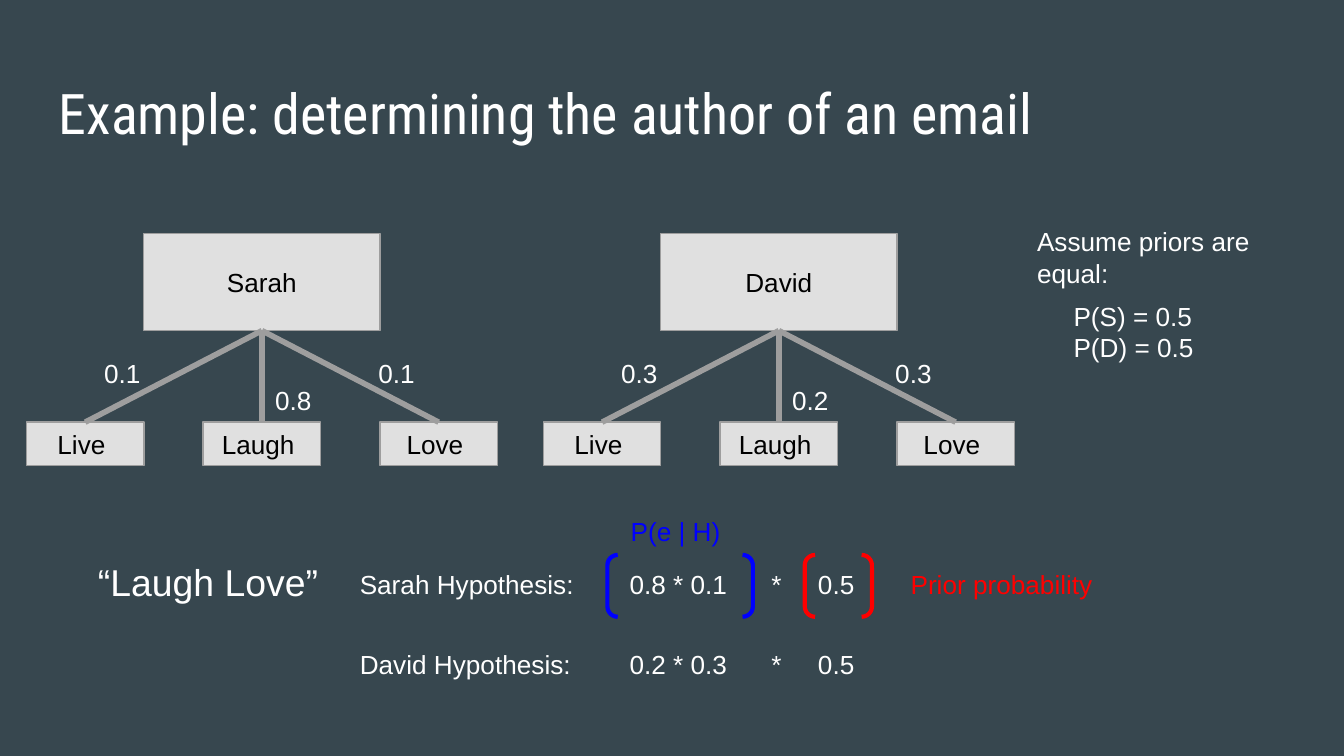
from dataclasses import dataclass

from lxml import etree
from pptx import Presentation
from pptx.dml.color import RGBColor
from pptx.enum import shapes, text
from pptx.oxml.ns import qn
from pptx.util import Cm, Pt


@dataclass(frozen=True)
class Theme:
    background: str = "37474F"
    box: str = "E0E0E0"
    edge: str = "9E9E9E"
    light: str = "FFFFFF"
    dark: str = "000000"
    evidence: str = "0000FF"
    prior: str = "FF0000"
    heading_font: str = "Roboto Condensed"
    body_font: str = "Arial"
    heading: float = 30
    quote: float = 20
    body: float = 14
    inset: float = 0.25


class SlideBuilder:
    def __init__(self, slide, theme):
        self.s = slide
        self.theme = theme
        fill = slide.background.fill
        fill.solid()
        fill.fore_color.rgb = RGBColor.from_string(theme.background)

    def set_text(self, sp, lines, color, size=None, font=None, align=None):
        """Fill a shape with one paragraph per line."""
        tf = sp.text_frame
        tf.word_wrap = True
        tf.margin_left = tf.margin_right = Cm(self.theme.inset)
        tf.margin_top = tf.margin_bottom = Cm(self.theme.inset)
        for i, line in enumerate(lines):
            p = tf.add_paragraph() if i else tf.paragraphs[0]
            p.alignment = align
            r = p.add_run()
            r.text = line
            r.font.name = font or self.theme.body_font
            r.font.size = Pt(size or self.theme.body)
            r.font.color.rgb = RGBColor.from_string(color)

    def label(self, x, y, w, h, *lines, color=None, **style):
        sp = self.s.shapes.add_textbox(Cm(x), Cm(y), Cm(w), Cm(h))
        self.set_text(sp, lines, color or self.theme.light, **style)
        return sp

    def tabbed_row(self, x, y, w, h, cells, stops):
        """One line of text whose cells start at the given tab stops."""
        sp = self.label(x, y, w, h, "\t".join(cells))
        pPr = sp.text_frame.paragraphs[0]._p.get_or_add_pPr()
        tabs = etree.SubElement(pPr, qn("a:tabLst"))
        for stop in stops:
            etree.SubElement(tabs, qn("a:tab"), pos=str(Cm(stop)), algn="l")

    def outline(self, sp, color, width):
        sp.shadow.inherit = False
        sp.line.color.rgb = RGBColor.from_string(color)
        sp.line.width = Pt(width)

    def box(self, x, y, w, h, caption):
        sp = self.s.shapes.add_shape(
            shapes.MSO_SHAPE.RECTANGLE, Cm(x), Cm(y), Cm(w), Cm(h))
        sp.fill.solid()
        sp.fill.fore_color.rgb = RGBColor.from_string(self.theme.box)
        self.outline(sp, self.theme.edge, 0.75)
        sp.text_frame.vertical_anchor = text.MSO_ANCHOR.MIDDLE
        self.set_text(sp, [caption], self.theme.dark, align=text.PP_ALIGN.CENTER)
        return sp

    def brackets(self, x, y, w, h, color):
        sp = self.s.shapes.add_shape(
            shapes.MSO_SHAPE.DOUBLE_BRACKET, Cm(x), Cm(y), Cm(w), Cm(h))
        sp.fill.background()
        self.outline(sp, color, 2.25)

    def branch(self, parent, child):
        """Join the bottom of the parent to the top of the child."""
        line = self.s.shapes.add_connector(
            shapes.MSO_CONNECTOR.STRAIGHT, 0, 0, 0, 0)
        line.begin_connect(parent, 2)
        line.end_connect(child, 0)
        line.line.color.rgb = RGBColor.from_string(self.theme.edge)
        line.line.width = Pt(3)
        etree.SubElement(line._element.spPr, qn("a:effectLst"))

    def author_tree(self, left, author, chances):
        """An author above the three words, with a chance on each branch."""
        leaf_w, pitch, author_w = 2.22, 3.34, 4.47
        center = left + pitch + leaf_w / 2
        parent = self.box(center - author_w / 2, 4.42, author_w, 1.83, author)
        # Trailing space sets the words slightly left of centre.
        leaves = [self.box(left + i * pitch, 7.98, leaf_w, 0.82, word)
                  for i, word in enumerate(("Live ", "Laugh ", "Love "))]
        for leaf in leaves:
            self.branch(parent, leaf)
        spots = ((1.22, 6.5), (4.45, 7.01), (6.4, 6.5))
        for (dx, y), chance in zip(spots, chances):
            self.label(left + dx, y, 1.27, 0.82, chance)


def main():
    theme = Theme()
    prs = Presentation()
    prs.slide_width, prs.slide_height = Cm(25.4), Cm(14.29)
    b = SlideBuilder(prs.slides.add_slide(prs.slide_layouts[6]), theme)

    b.label(0.86, 1.24, 23.67, 1.6, "Example: determining the author of an email",
            size=theme.heading, font=theme.heading_font)

    b.author_tree(0.5, "Sarah", ("0.1", "0.8", "0.1"))
    b.author_tree(10.27, "David", ("0.3", "0.2", "0.3"))

    b.label(19.35, 4.02, 5.77, 1.6, "Assume priors are equal:")
    b.label(20.04, 5.43, 5.77, 1.6, "P(S) = 0.5", "P(D) = 0.5")

    b.label(1.6, 10.32, 5.77, 1.6, "“Laugh Love”", size=theme.quote)
    hypotheses = (
        (10.49, ("Sarah Hypothesis:", "0.8 * 0.1", "*", "0.5")),
        (12.01, ("David Hypothesis:", "0.2 * 0.3", "*", "0.5")),
    )
    for y, cells in hypotheses:
        b.tabbed_row(6.55, y, 10.9, 1.6, cells, stops=(5.1, 7.78, 8.66))

    b.brackets(11.48, 10.49, 2.75, 1.17, theme.evidence)
    b.brackets(15.21, 10.49, 1.27, 1.17, theme.prior)
    b.label(16.96, 10.49, 4.04, 0.9, "Prior probability", color=theme.prior)
    b.label(11.67, 9.49, 4.04, 0.9, "P(e | H)", color=theme.evidence)

    prs.save("out.pptx")


if __name__ == "__main__":
    main()
